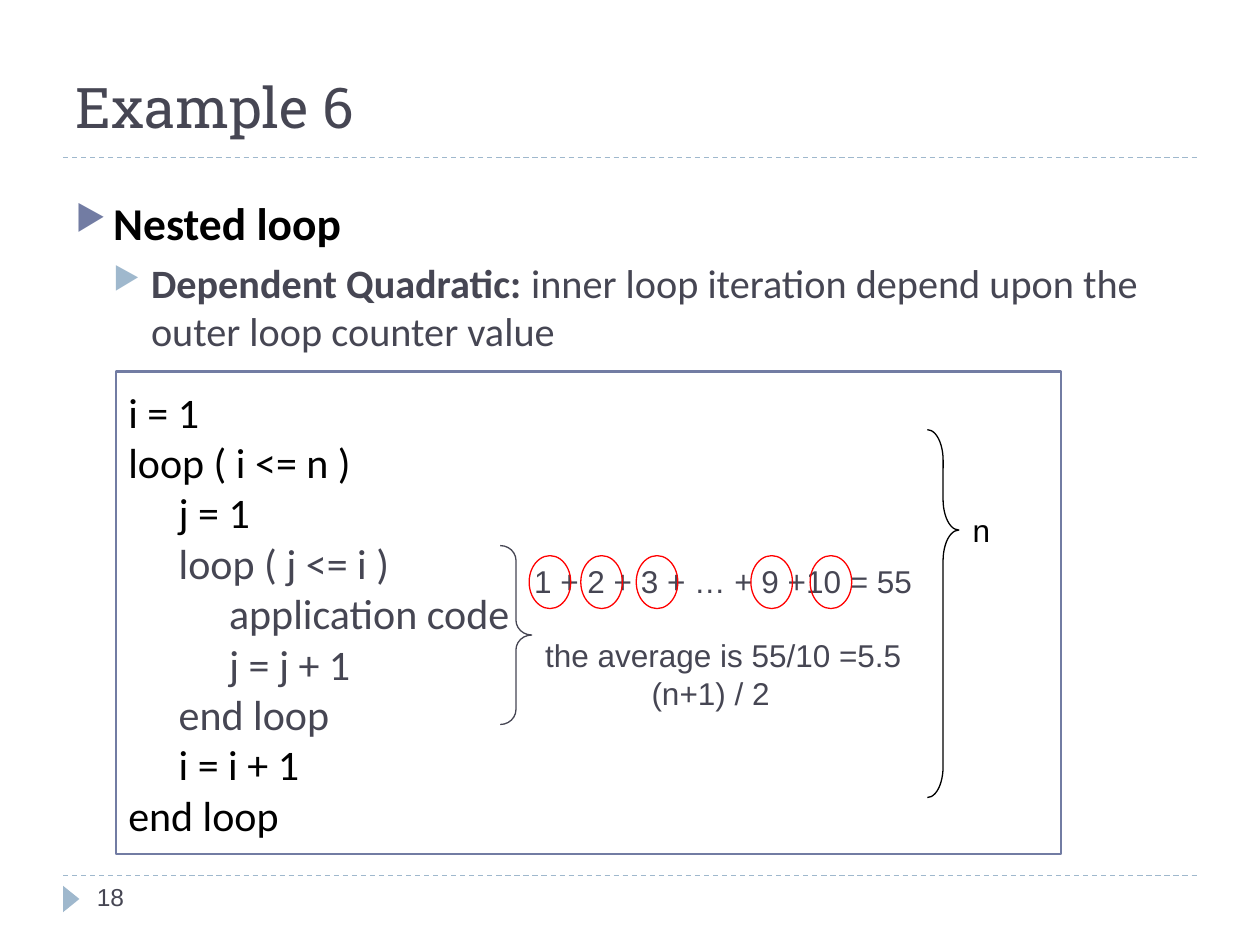
from lxml.etree import SubElement
from pptx import Presentation
from pptx.dml.color import RGBColor
from pptx.enum.dml import MSO_LINE
from pptx.enum.shapes import MSO_CONNECTOR, MSO_SHAPE
from pptx.enum.text import MSO_ANCHOR, MSO_AUTO_SIZE, PP_ALIGN
from pptx.oxml.ns import qn
from pptx.util import Inches, Pt

INK = RGBColor(0x46, 0x46, 0x53)
BLACK = RGBColor(0, 0, 0)
WHITE = RGBColor(255, 255, 255)
RED = RGBColor(255, 0, 0)
INDIGO = RGBColor(0x72, 0x7C, 0xA3)
SKY = RGBColor(0x9F, 0xB8, 0xCD)

# Content
TITLE = "Example 6"
BULLETS = [  # bullet colour, size, space before, text colour, (text, bold) runs
    (INDIGO, 26, 0, BLACK, [("Nested loop", True)]),
    (SKY, 23, 5, INK, [
        ("Dependent Quadratic: ", True),
        ("inner loop iteration depend upon the outer loop counter value", False)]),
]
CODE = [  # depth, line, colour
    (0, "i = 1", BLACK),
    (0, "loop ( i <= n )", BLACK),
    (1, "j = 1", BLACK),
    (1, "loop ( j <= i )", INK),
    (2, "application code", INK),
    (2, "j = j + 1", INK),
    (1, "end loop", INK),
    (1, "i = i + 1", BLACK),
    (0, "end loop", BLACK),
]
WORKING = [  # text, space before in points, right margin in inches
    ("1 + 2 + 3 + … + 9 +10 = 55", 0, 0),
    ("the average is 55/10 =5.5", 20.7, 0),
    ("(n+1) / 2", 0, 0.2),
]
BRACES = [  # box, curve, point position, colour
    ((3.97, 4.33, 0.25, 1.42), 0.472, 0.5, INK),
    ((7.36, 3.41, 0.25, 2.92), 0.972, 0.273, BLACK),
]
CIRCLED_LEFTS = [4.2, 4.61, 5.05, 5.96, 6.43]
OUTER_COUNT = "n"
PAGE = "18"

# Measures in inches
RULE_LEFT, RULE_RIGHT = 0.5, 9.5
RULE_TOPS = (1.25, 6.95)
INDENT = 0.3
CODE_INDENT = 0.4

prs = Presentation()
prs.slide_width, prs.slide_height = Inches(10), Inches(7.5)
slide = prs.slides.add_slide(prs.slide_layouts[5])
shapes = slide.shapes


def inches(box):
    return [Inches(side) for side in box]


def add_run(paragraph, text, font, size, color, bold=False):
    run = paragraph.add_run()
    run.text = text
    run.font.name, run.font.size, run.font.bold = font, Pt(size), bold
    run.font.color.rgb = color


def add_text(box, inset=None):
    frame = shapes.add_textbox(*inches(box)).text_frame
    frame.word_wrap = True
    if inset is not None:
        frame.margin_left = frame.margin_right = Inches(inset)
        frame.margin_top = frame.margin_bottom = Inches(inset)
    return frame


def add_preset(kind, box, fill=None, line=None, width=0.75):
    shape = shapes.add_shape(kind, *inches(box))
    shape.shadow.inherit = False
    if fill is None:
        shape.fill.background()
    else:
        shape.fill.solid()
        shape.fill.fore_color.rgb = fill
    if line is None:
        shape.line.fill.background()
    else:
        shape.line.color.rgb = line
        shape.line.width = Pt(width)
    return shape


def paragraphs(frame, items):
    for index, item in enumerate(items):
        yield (frame.add_paragraph() if index else frame.paragraphs[0]), item


def set_bullet(paragraph, level, color):
    props = paragraph._p.get_or_add_pPr()
    props.set("marL", str(Inches(INDENT * (level + 1))))
    props.set("indent", str(-Inches(INDENT)))
    SubElement(SubElement(props, qn("a:buClr")), qn("a:srgbClr"), val=str(color))
    SubElement(props, qn("a:buSzPct"), val="76000")
    SubElement(props, qn("a:buChar"), char="▶")


# Dashed rules and footer marker
for top in RULE_TOPS:
    rule = shapes.add_connector(MSO_CONNECTOR.STRAIGHT,
                                *inches((RULE_LEFT, top, RULE_RIGHT, top)))
    rule.line.color.rgb = SKY
    rule.line.width = Pt(0.75)
    rule.line.dash_style = MSO_LINE.DASH
    SubElement(rule._element.spPr, qn("a:effectLst"))
marker = add_preset(MSO_SHAPE.ISOSCELES_TRIANGLE, (0.46, 7.07, 0.21, 0.13), SKY)
marker.rotation = 90

# Title
title = shapes.title
title.left, title.top, title.width, title.height = inches((0.5, 0.13, 8.25, 1.03))
heading = title.text_frame
heading.auto_size = MSO_AUTO_SIZE.NONE
heading.vertical_anchor = MSO_ANCHOR.BOTTOM
heading.paragraphs[0].alignment = PP_ALIGN.LEFT
add_run(heading.paragraphs[0], TITLE, "Roboto Slab", 32, INK)

# Bullets
body = add_text((0.5, 1.5, 9.25, 1.4))
for level, (paragraph, item) in enumerate(paragraphs(body, BULLETS)):
    bullet_color, size, before, color, runs = item
    set_bullet(paragraph, level, bullet_color)
    paragraph.space_before = Pt(before)
    for text, bold in runs:
        add_run(paragraph, text, "Calibri", size, color, bold)

# Code panel
panel = add_preset(MSO_SHAPE.RECTANGLE, (0.92, 2.95, 7.5, 3.83), WHITE, INDIGO, 1.5)
code = panel.text_frame
code.vertical_anchor = MSO_ANCHOR.MIDDLE
for paragraph, (depth, line, color) in paragraphs(code, CODE):
    paragraph._p.get_or_add_pPr().set("marL", str(Inches(CODE_INDENT * depth)))
    paragraph.alignment = PP_ALIGN.LEFT
    paragraph.line_spacing = Pt(28.8)
    add_run(paragraph, line, "Calibri", 24, color)

# Braces and the count of the outer loop
for box, curve, point, color in BRACES:
    brace = add_preset(MSO_SHAPE.RIGHT_BRACE, box, line=color)
    brace.adjustments[0], brace.adjustments[1] = curve, point
count = add_text((7.62, 4.01, 0.58, 0.4))
add_run(count.paragraphs[0], OUTER_COUNT, "Arial", 18, BLACK)

# Working for the inner loop
working = add_text((4.04, 4.46, 3.4, 1.15), inset=0)
for paragraph, (text, before, right) in paragraphs(working, WORKING):
    paragraph._p.get_or_add_pPr().set("marR", str(Inches(right)))
    paragraph.alignment = PP_ALIGN.CENTER
    paragraph.space_before = Pt(before)
    add_run(paragraph, text, "Arial", 18, INK)

# Circled terms
for left in CIRCLED_LEFTS:
    add_preset(MSO_SHAPE.OVAL, (left, 4.41, 0.33, 0.42), line=RED)

# Page number
page = add_text((0.67, 6.95, 2.17, 0.4))
add_run(page.paragraphs[0], PAGE, "Arial", 14, INK)

prs.save("out.pptx")
